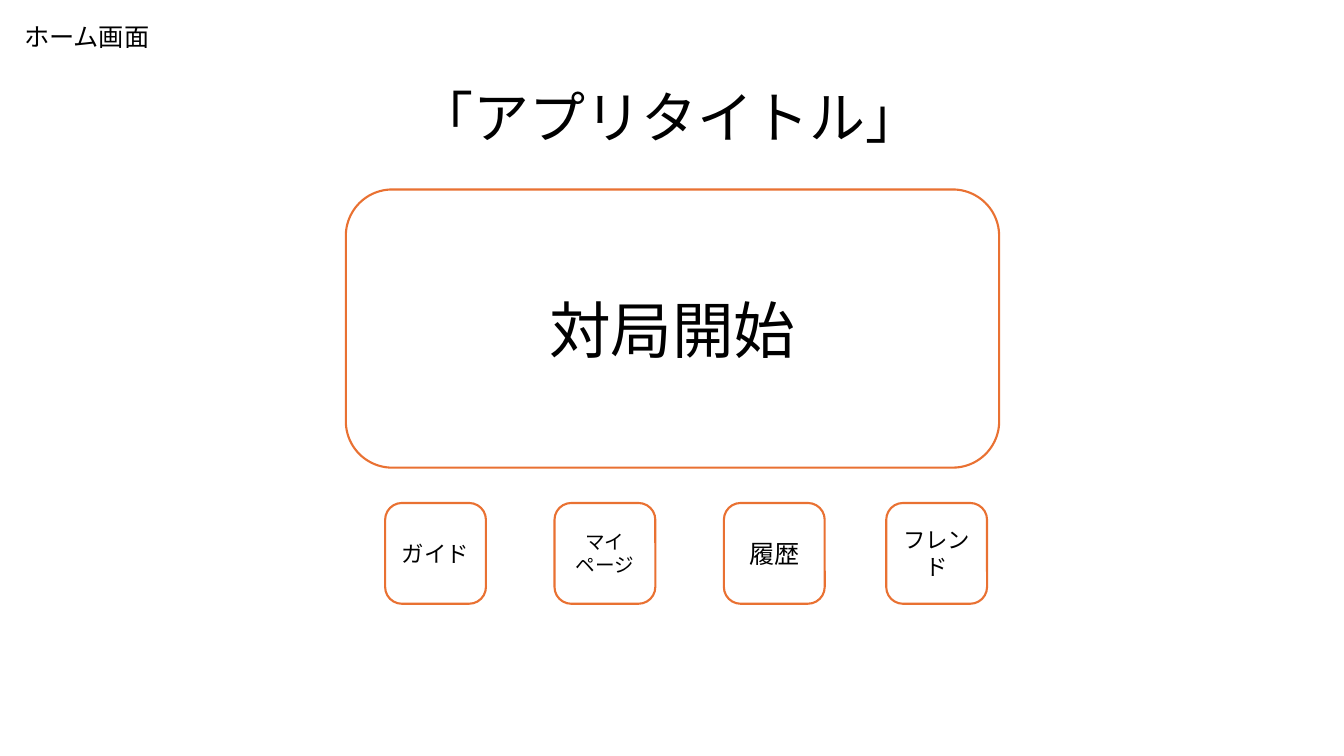
"""Build the home screen mock-up of a game app."""
from dataclasses import dataclass

from lxml import etree
from pptx import Presentation
from pptx import util as u
from pptx.dml.color import RGBColor
from pptx.enum import lang, shapes, text
from pptx.oxml.ns import qn

FONT = "Noto Sans CJK JP"
INK, PAPER, ACCENT = "000000", "FFFFFF", "E97132"
MENU_TOP, MENU_SIDE = 4.99, 1

LABEL_FORMAT = {
    "word_wrap": False,
    "auto_size": text.MSO_AUTO_SIZE.NONE,
    "vertical_anchor": text.MSO_ANCHOR.TOP,
}
BUTTON_FORMAT = {
    "word_wrap": True,
    "auto_size": text.MSO_AUTO_SIZE.NONE,
    "vertical_anchor": text.MSO_ANCHOR.MIDDLE,
}


@dataclass(frozen=True)
class Button:
    caption: str
    size: int
    left: float
    top: float = MENU_TOP
    width: float = MENU_SIDE
    height: float = MENU_SIDE


BUTTONS = [
    Button("対局開始", 44, 3.43, 1.88, 6.48, 2.76),
    Button("ガイド", 16, 3.82),
    Button("マイページ", 14, 5.5),
    Button("履歴", 18, 7.18),
    Button("フレンド", 16, 8.79),
]


def paint(color_format, value: str) -> None:
    """Apply a hex colour."""
    color_format.rgb = RGBColor.from_string(value)


def write(box, caption: str, size: int, frame_format: dict, align) -> None:
    """Write one formatted line of text into a box."""
    frame = box.text_frame
    for name, value in frame_format.items():
        setattr(frame, name, value)
    para = frame.paragraphs[0]
    para.alignment = align
    span = para.add_run()
    span.text = caption
    font_format = {
        "size": u.Pt(size),
        "name": FONT,
        "language_id": lang.MSO_LANGUAGE_ID.JAPANESE,
    }
    for name, value in font_format.items():
        setattr(span.font, name, value)
    paint(span.font.color, INK)
    etree.SubElement(span.font._element, qn("a:ea"), typeface=FONT)


def add_button(page, button: Button) -> None:
    """Draw a rounded, outlined button."""
    edges = (button.left, button.top, button.width, button.height)
    box = page.shapes.add_shape(
        shapes.MSO_SHAPE.ROUNDED_RECTANGLE, *map(u.Inches, edges)
    )
    box.shadow.inherit = False
    box.fill.solid()
    paint(box.fill.fore_color, PAPER)
    paint(box.line.color, ACCENT)
    box.line.width = u.Pt(1.5)
    write(box, button.caption, button.size, BUTTON_FORMAT, text.PP_ALIGN.CENTER)


def main() -> None:
    """Build and save the deck."""
    deck = Presentation()
    deck.slide_width, deck.slide_height = u.Inches(13.33), u.Inches(7.5)
    page = deck.slides.add_slide(deck.slide_layouts.get_by_name("Title Only"))

    title = page.shapes.title
    title_place = {"left": 4.04, "top": 0.77, "width": 5.25, "height": 0.77}
    for name, value in title_place.items():
        setattr(title, name, u.Inches(value))
    write(title, "「アプリタイトル」", 40, LABEL_FORMAT, text.PP_ALIGN.LEFT)

    screen_name = page.shapes.add_textbox(*map(u.Inches, (0.14, 0.16, 1.46, 0.4)))
    write(screen_name, "ホーム画面", 18, LABEL_FORMAT, text.PP_ALIGN.LEFT)

    for button in BUTTONS:
        add_button(page, button)
    deck.save("out.pptx")


if __name__ == "__main__":
    main()
